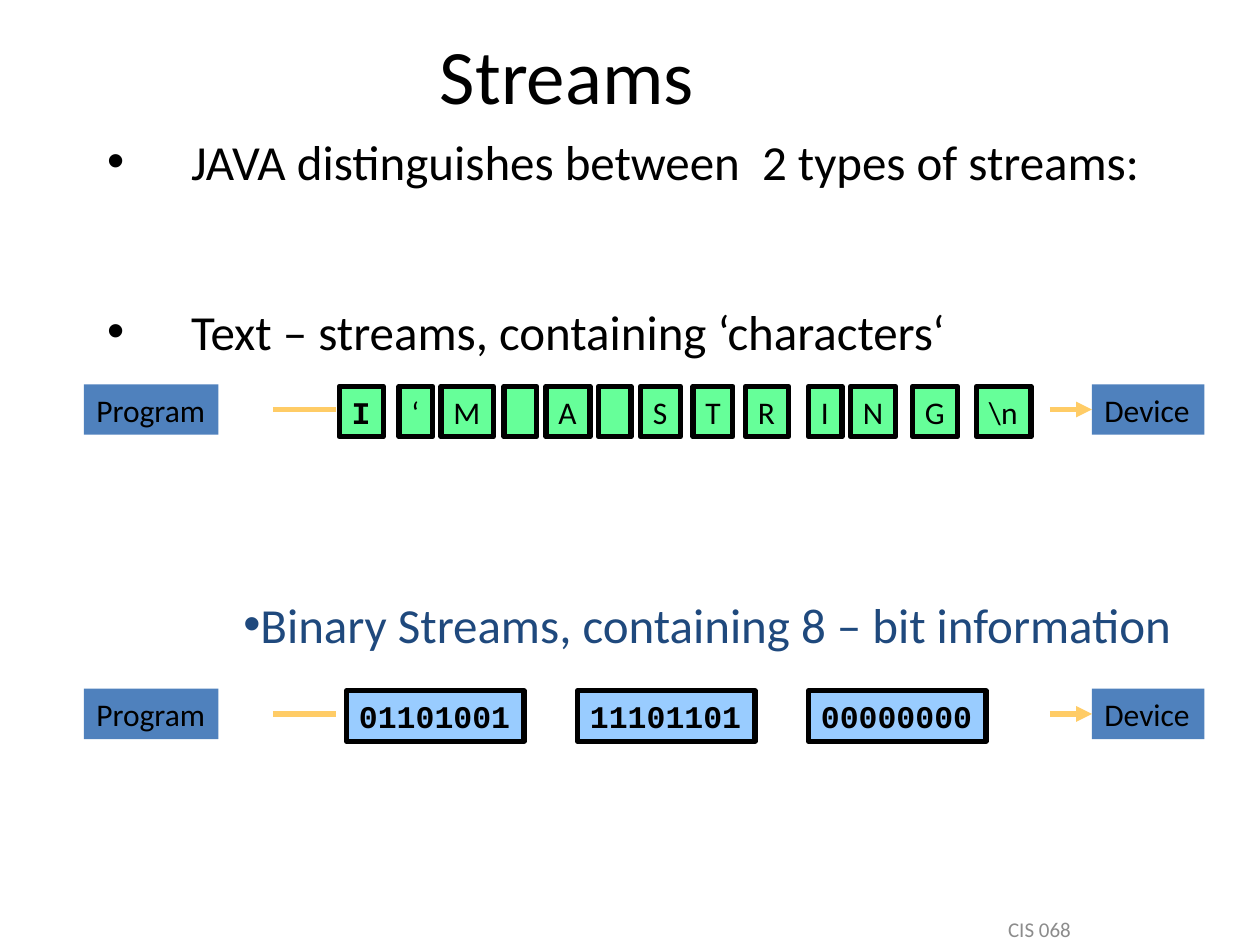
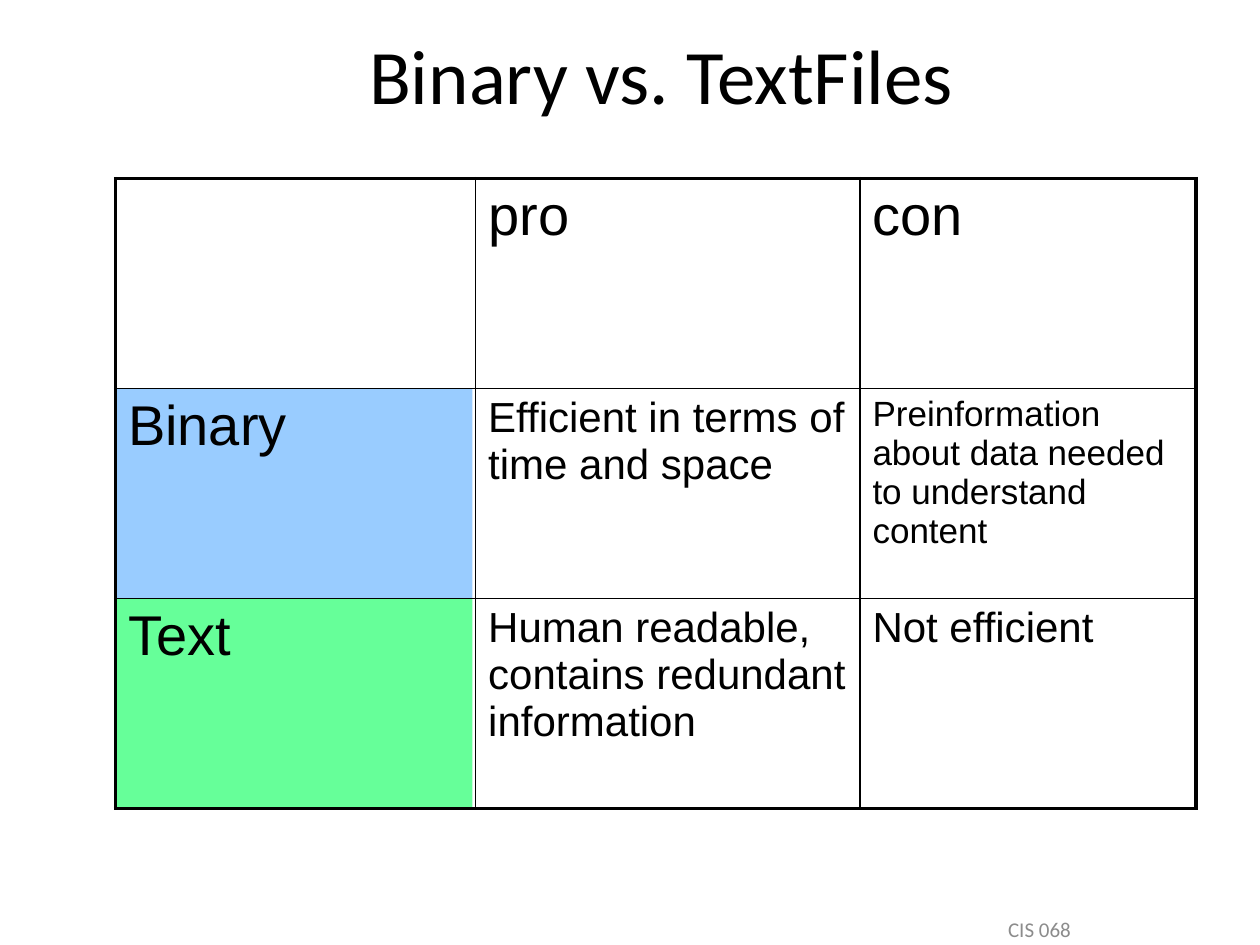
from lxml import etree
from pptx import Presentation
from pptx.dml.color import RGBColor
from pptx.enum.shapes import MSO_CONNECTOR as Connector, MSO_SHAPE as Shape
from pptx.enum.text import MSO_ANCHOR as Anchor, MSO_AUTO_SIZE as AutoSize, PP_ALIGN as Align
from pptx.oxml.ns import qn
from pptx.util import Inches, Pt

COLORS = {
    "black": "000000", "grey": "8C8C8C", "navy": "1F497D", "endpoint": "4F81BD",
    "text": "66FF99", "binary": "99CCFF", "arrow": "FFCC66",
}
UNIT = 1 / 12  # one grid column or row, in inches
LABEL_RISE, CELL_RISE, CELL_HEIGHT = 2.4, 2.2, 4.8
THICK, THIN = 2.25, 1

# character, column, width
CHARACTERS = [
    ("I", 32.3, 4.2), ("‘", 38, 3.2), ("M", 42, 5), ("", 48, 3.1), ("A", 52, 4.2),
    ("", 57, 3.1), ("S", 61, 3.8), ("T", 66, 3.8), ("R", 71, 4.1), ("I", 77, 3.2),
    ("N", 81, 4.3), ("G", 86.9, 4.3), ("\\n", 93, 5.2),
]
BYTES = ["01101001", "11101101", "00000000"]
# rows of (text, size)
COMPARISON = [
    [("", 32), ("pro", 32), ("con", 32)],
    [("Binary", 32), ("Efficient in terms of time and space", 24),
     ("Preinformation about data needed to understand content", 20)],
    [("Text", 32), ("Human readable, contains redundant information", 24),
     ("Not efficient", 24)],
]


def grid(*values):
    """Turn grid columns or rows into lengths."""
    return [Inches(value * UNIT) for value in values]


def color(name):
    """Look up a named colour."""
    return RGBColor.from_string(COLORS[name])


def add_bullet(para, indent=0):
    """Give a paragraph a round bullet with a hanging indent in grid columns."""
    props = para._p.get_or_add_pPr()
    hang = grid(indent)[0]
    props.set("marL", str(hang))
    props.set("indent", str(-hang))
    etree.SubElement(props, qn("a:buFont")).set("typeface", "Arial")
    etree.SubElement(props, qn("a:buChar")).set("char", "•")


def write(para, words, size=18, font="Calibri", ink="black", bold=False,
          align=Align.LEFT, before=0, spacing=None):
    """Put formatted words in a paragraph."""
    para.alignment = align
    para.space_before = Pt(before)
    if spacing:
        para.line_spacing = spacing
    span = para.add_run()
    span.text = words
    span.font.size, span.font.name, span.font.bold = Pt(size), font, bold
    span.font.color.rgb = color(ink)


def add_border(cell, sides):
    """Draw the borders of a cell from a dict of side letters and widths."""
    props = cell._tc.get_or_add_tcPr()
    for index, side in enumerate("LRTB"):
        line = etree.Element(qn("a:ln" + side), w=str(Pt(sides[side])))
        fill = etree.SubElement(line, qn("a:solidFill"))
        etree.SubElement(fill, qn("a:srgbClr")).set("val", COLORS["black"])
        props.insert(index, line)


class Page:
    """The shared style and the current slide."""

    def __init__(self, deck, layout, title, title_width):
        """Start a slide with its title and footer."""
        self.slide = deck.slides.add_slide(deck.slide_layouts[layout])
        frame = self.place(self.slide.shapes.title, 6, 2, title_width, 10)
        frame.vertical_anchor = Anchor.MIDDLE
        write(frame.paragraphs[0], title, size=44, align=Align.CENTER)
        footer = self.textbox(80, 87, 38, 3, "CIS 068", size=12, ink="grey",
                              align=Align.CENTER)
        footer.vertical_anchor = Anchor.MIDDLE

    def place(self, holder, left, top, width, height):
        """Move a placeholder and return its text frame."""
        holder.left, holder.top, holder.width, holder.height = grid(left, top, width, height)
        holder.text_frame.auto_size = AutoSize.NONE
        return holder.text_frame

    def textbox(self, left, top, width, height, words, **style):
        """Add a text box and return its text frame."""
        frame = self.slide.shapes.add_textbox(*grid(left, top, width, height)).text_frame
        frame.word_wrap = True
        write(frame.paragraphs[0], words, **style)
        return frame

    def bullets(self, lines):
        """Fill the body placeholder with (words, space before) lines."""
        frame = self.place(self.slide.placeholders[1], 9, 13, 109, 24)
        for index, (words, before) in enumerate(lines):
            para = frame.add_paragraph() if index else frame.paragraphs[0]
            write(para, words, size=28, before=before, spacing=0.8)
            add_bullet(para, indent=8)

    def block(self, left, top, width, height, fill, words="", outlined=False, **style):
        """Add a filled rectangle, with an outline and words if wanted."""
        box = self.slide.shapes.add_shape(Shape.RECTANGLE, *grid(left, top, width, height))
        box.shadow.inherit = False
        box.fill.solid()
        box.fill.fore_color.rgb = color(fill)
        if outlined:
            box.line.color.rgb = color("black")
            box.line.width = Pt(3)
        else:
            box.line.fill.background()
        if words:
            frame = box.text_frame
            frame.word_wrap = False
            frame.auto_size = AutoSize.SHAPE_TO_FIT_TEXT
            frame.vertical_anchor = Anchor.MIDDLE
            write(frame.paragraphs[0], words, **style)

    def line(self, start, end, row, arrow=False):
        """Draw a horizontal line, with an arrowhead if wanted."""
        link = self.slide.shapes.add_connector(Connector.STRAIGHT, *grid(start, row, end, row))
        link.line.color.rgb = color("arrow")
        link.line.width = Pt(3)
        if arrow:
            etree.SubElement(link.line._get_or_add_ln(), qn("a:tailEnd")).set("type", "triangle")
        etree.SubElement(link._element.spPr, qn("a:effectLst"))

    def stream(self, row, fill, cells):
        """Draw a stream from program to device, centred on a grid row."""
        for words, left, width, style in cells:
            self.block(left, row - CELL_RISE, width, CELL_HEIGHT, fill, words,
                       outlined=True, **style)
        for words, left, width in [("Program", 8, 12.8), ("Device", 104, 10.7)]:
            self.block(left, row - LABEL_RISE, width, CELL_HEIGHT, "endpoint", words)
        self.line(26, 32, row)
        self.line(100, 104, row, arrow=True)

    def table(self, left, top, widths, height, rows):
        """Add a see-through table with a thick frame and thin inner lines."""
        last_row, last_col = len(rows) - 1, len(widths) - 1
        table = self.slide.shapes.add_table(
            len(rows), len(widths), *grid(left, top, sum(widths), height * len(rows))).table
        table.first_row = table.horz_banding = False
        for column, width in zip(table.columns, grid(*widths)):
            column.width = width
        for y, row in enumerate(rows):
            table.rows[y].height = grid(height)[0]
            for x, (words, size) in enumerate(row):
                cell = table.cell(y, x)
                cell.fill.background()
                add_border(cell, {
                    "L": THIN if x else THICK, "R": THICK if x == last_col else THIN,
                    "T": THIN if y else THICK, "B": THICK if y == last_row else THIN})
                if words:
                    write(cell.text_frame.paragraphs[0], words, size=size, font="Arial",
                          before=0.2 * size)


def build_streams(deck):
    """Build the slide on the two types of streams."""
    page = Page(deck, 1, "Streams", 96)
    page.bullets([("JAVA distinguishes between  2 types of streams:", 5.6),
                  ("Text – streams, containing ‘characters‘", 70.5)])
    code = {"font": "Courier New", "bold": True}
    page.stream(39, "text", [(words, left, width, {} if index else code)
                             for index, (words, left, width) in enumerate(CHARACTERS)])
    frame = page.textbox(20.2, 56, 92.5, 6.8, "Binary Streams, containing 8 – bit information",
                         size=28, ink="navy", align=Align.RIGHT)
    frame.word_wrap = False
    add_bullet(frame.paragraphs[0])
    page.stream(68, "binary", [(words, 33 + 22 * index, 16.9, code)
                               for index, words in enumerate(BYTES)])


def build_comparison(deck):
    """Build the slide that compares binary and text files."""
    page = Page(deck, 5, "Binary vs. TextFiles", 114)
    for index, fill in enumerate(["binary", "text"], start=1):
        page.block(11, 17 + 20 * index, 34, 20, fill)
    page.table(11, 17, [34.3, 36.6, 32], 20, COMPARISON)


deck = Presentation()
deck.slide_width, deck.slide_height = grid(120, 90)
build_streams(deck)
build_comparison(deck)
deck.save("out.pptx")
